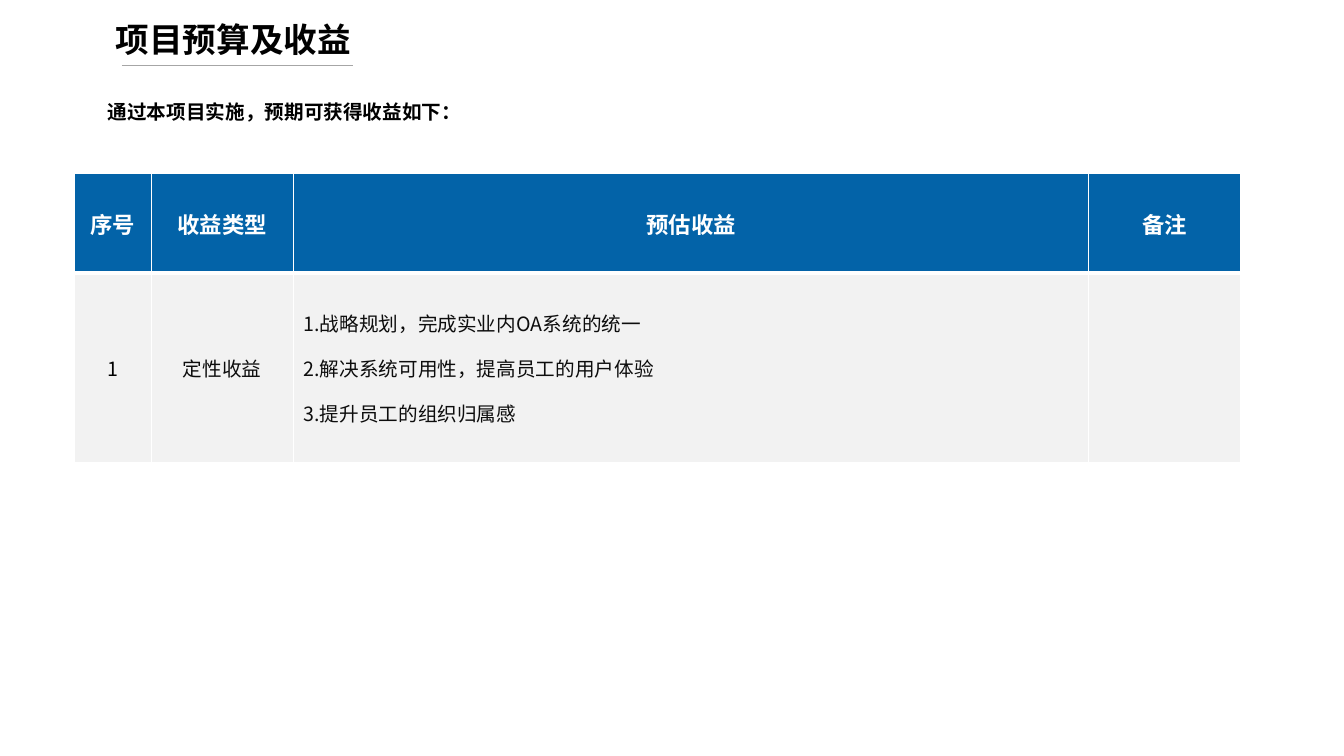
from pptx import Presentation
from pptx.dml.color import RGBColor
from pptx.enum.shapes import MSO_CONNECTOR
from pptx.enum.text import MSO_ANCHOR, PP_ALIGN
from pptx.oxml.ns import qn
from pptx.util import Inches, Pt
from lxml import etree

STRAIGHT = MSO_CONNECTOR.STRAIGHT
MIDDLE = MSO_ANCHOR.MIDDLE
CENTER = PP_ALIGN.CENTER
LEFT = PP_ALIGN.LEFT

FONT = "Noto Sans CJK SC"
COLORS = {
    "black": "000000",
    "ink": "0D0D0D",
    "white": "FFFFFF",
    "blue": "0363A8",
    "light": "F2F2F2",
    "rule": "A6A6A6",
}
COLUMN_WIDTHS = [0.76, 1.41, 7.89, 1.5]
ROW_HEIGHTS = [0.99, 1.88]
HEADERS = ["序号", "收益类型", "预估收益", "备注"]
BENEFITS = [
    "1.战略规划，完成实业内OA系统的统一",
    "2.解决系统可用性，提高员工的用户体验",
    "3.提升员工的组织归属感",
]


def rgb(name):
    return RGBColor.from_string(COLORS[name])


def format_runs(p, size, color, bold=False):
    for r in p.runs:
        r.font.size = Pt(size)
        r.font.bold = bold
        r.font.name = FONT
        r.font.color.rgb = rgb(color)
        ea = etree.SubElement(r.font._element, qn("a:ea"))
        ea.set("typeface", FONT)


def add_text(s, text, left, top, width, height, size, wrap):
    sp = s.shapes.add_textbox(Inches(left), Inches(top), Inches(width), Inches(height))
    tf = sp.text_frame
    tf.word_wrap = wrap
    tf.text = text
    format_runs(tf.paragraphs[0], size, "black", True)


def add_rule(s, left, right, y):
    line = s.shapes.add_connector(STRAIGHT, Inches(left), Inches(y), Inches(right), Inches(y))
    line.line.color.rgb = rgb("rule")
    line.line.width = Pt(0.5)
    etree.SubElement(line._element.spPr, qn("a:effectLst"))


def set_borders(cell, top, bottom):
    tc_pr = cell._tc.get_or_add_tcPr()
    widths = {"L": 1, "R": 1, "T": top, "B": bottom}
    for i, (side, width) in enumerate(widths.items()):
        ln = etree.Element(qn(f"a:ln{side}"), w=str(Pt(width)))
        fill = etree.SubElement(ln, qn("a:solidFill"))
        etree.SubElement(fill, qn("a:srgbClr"), val=COLORS["white"])
        tc_pr.insert(i, ln)


def fill_cell(cell, text, size, color, bold=False, align=CENTER, space=None):
    cell.vertical_anchor = MIDDLE
    cell.text_frame.text = text
    for p in cell.text_frame.paragraphs:
        p.alignment = align
        if space is not None:
            p.space_before = p.space_after = Pt(space)
        format_runs(p, size, color, bold)


def add_benefit_table(s):
    frame = s.shapes.add_table(
        len(ROW_HEIGHTS), len(COLUMN_WIDTHS), Inches(0.74), Inches(1.72),
        Inches(sum(COLUMN_WIDTHS)), Inches(sum(ROW_HEIGHTS)))
    table = frame.table
    for column, width in zip(table.columns, COLUMN_WIDTHS):
        column.width = Inches(width)
    for row, height in zip(table.rows, ROW_HEIGHTS):
        row.height = Inches(height)
    for row, color, top, bottom in zip(table.rows, ("blue", "light"), (1, 3), (3, 1)):
        for cell in row.cells:
            cell.fill.solid()
            cell.fill.fore_color.rgb = rgb(color)
            set_borders(cell, top, bottom)
    for i, header in enumerate(HEADERS):
        fill_cell(table.cell(0, i), header, 16, "white", True)
    fill_cell(table.cell(1, 0), "1", 14, "black")
    fill_cell(table.cell(1, 1), "定性收益", 14, "ink")
    fill_cell(table.cell(1, 2), "\n".join(BENEFITS), 14, "ink", align=LEFT, space=6)


def main():
    prs = Presentation()
    prs.slide_width = Inches(13.33)
    prs.slide_height = Inches(7.5)
    s = prs.slides.add_slide(prs.slide_layouts[6])
    add_rule(s, 1.21, 3.5, 0.65)
    add_text(s, "项目预算及收益", 1.05, 0.14, 2.53, 0.5, 24, False)
    add_text(s, "通过本项目实施，预期可获得收益如下：", 0.97, 0.94, 3.6, 0.34, 14, True)
    add_benefit_table(s)
    prs.save("out.pptx")


if __name__ == "__main__":
    main()
